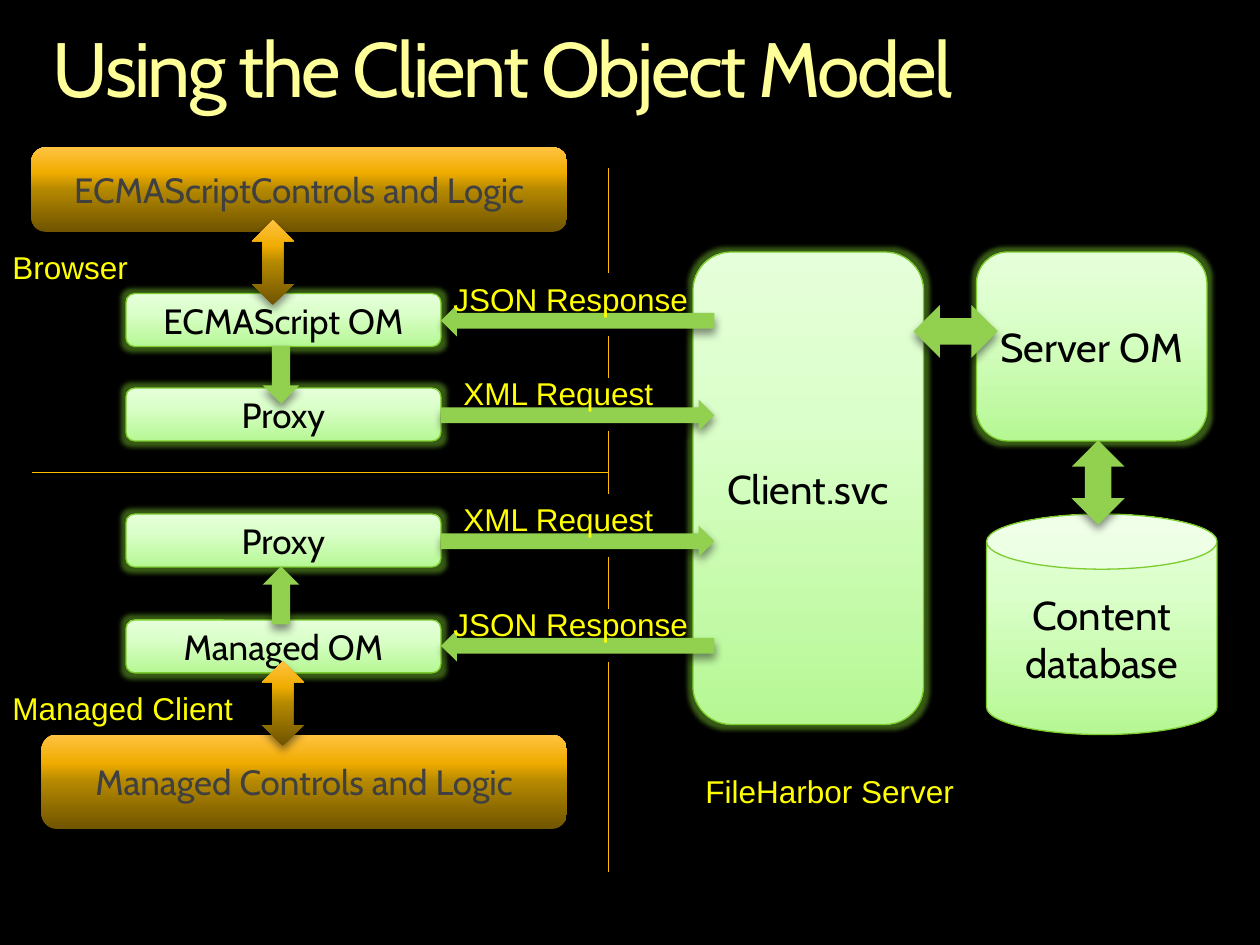
"""Build the slide on the client object model: client layers, service and server."""
from dataclasses import dataclass

from pptx import Presentation
from pptx.dml.color import RGBColor
from pptx.enum.shapes import MSO_CONNECTOR, MSO_SHAPE
from pptx.enum.text import MSO_ANCHOR, PP_ALIGN
from pptx.oxml import parse_xml
from pptx.oxml.ns import nsdecls
from pptx.util import Cm, Pt


@dataclass(frozen=True)
class Theme:
    background: str = "000000"
    arrow: str = "92D050"
    edge: str = "7DCC2E"
    divider: str = "FFC000"
    label: str = "FFFF00"
    ink: str = "000000"
    muted: str = "404040"
    mint: tuple = ((0, "B6F794"), (65, "DBFFCA"), (100, "E5FFDA"))
    amber: tuple = ((0, "705400"), (50, "B48800"), (70, "F0AC00"), (100, "FFC342"))
    heading: tuple = ((0, "FFFFB9"), (36, "FFFF99"), (86, "F6AE1E"))
    title_size: int = 44
    server_size: int = 23
    layer_size: int = 20
    label_size: int = 18
    hairline: float = 0.75


def gradient(stops, angle):
    """Return a linear gradient fill element."""
    marks = "".join(
        f'<a:gs pos="{place * 1000}"><a:srgbClr val="{color}"/></a:gs>' for place, color in stops
    )
    return parse_xml(
        f'<a:gradFill {nsdecls("a")} rotWithShape="1"><a:gsLst>{marks}</a:gsLst>'
        f'<a:lin ang="{angle * 60000}" scaled="0"/></a:gradFill>'
    )


def write(frame, words, font, color, size, align=PP_ALIGN.LEFT):
    """Put one formatted paragraph in a text frame."""
    paragraph = frame.paragraphs[0]
    paragraph.text = words
    paragraph.alignment = align
    for run in paragraph.runs:
        for name, value in {"name": font, "size": Pt(size)}.items():
            setattr(run.font, name, value)
        run.font.color.rgb = RGBColor.from_string(color)
    return paragraph


theme = Theme()
INCH = 2.54
deck = Presentation()
deck.slide_width, deck.slide_height = Cm(10 * INCH), Cm(7.5 * INCH)
slide = deck.slides.add_slide(deck.slide_layouts[6])
slide.background.fill.solid()
slide.background.fill.fore_color.rgb = RGBColor.from_string(theme.background)

heading = slide.shapes.add_textbox(*(Cm(v * INCH) for v in (0.42, 0.25, 9.17, 0.67)))
edges = ("margin_left", "margin_top", "margin_right", "margin_bottom")
for name, value in {"word_wrap": True, **dict.fromkeys(edges, 0)}.items():
    setattr(heading.text_frame, name, value)
title = write(heading.text_frame, "Using the Client Object Model", "Cabin",
              theme.heading[1][1], theme.title_size)
title.line_spacing = 0.9
title_format = title.runs[0].font._element
title_format.set("spc", "-150")
title_format.replace(title_format[0], gradient(theme.heading, 90))

BOX, CAN = MSO_SHAPE.ROUNDED_RECTANGLE, MSO_SHAPE.CAN
RIGHT, BOTH, UP_DOWN = MSO_SHAPE.RIGHT_ARROW, MSO_SHAPE.LEFT_RIGHT_ARROW, MSO_SHAPE.UP_DOWN_ARROW
servers = [
    (BOX, (5.5, 2, 1.83, 3.75), "Client.svc"),
    (BOX, (7.75, 2, 1.83, 1.5), "Server OM"),
    (CAN, (7.83, 4.08, 1.83, 1.75), "Content\ndatabase"),
]
layers = [
    (BOX, (1, top, 2.5, 0.42), words)
    for top, words in [(2.33, "ECMAScript OM"), (3.08, "Proxy"), (4.08, "Proxy"), (4.92, "Managed OM")]
]
controls = [
    (BOX, (0.33, 5.83, 4.17, 0.75), "Managed Controls and Logic"),
    (BOX, (0.25, 1.17, 4.25, 0.67), "ECMAScriptControls and Logic"),
]
control_links = [(UP_DOWN, (left, top, 0.33, 0.67), "") for left, top in [(2, 1.75), (2.08, 5.25)]]
arrows = [
    (BOTH, (7.25, 2.42, 0.67, 0.42), 0),
    (BOTH, (8.38, 3.62, 0.67, 0.42), 90),
    *((RIGHT, (3.5, top, 2.17, 0.25), turn)
      for top, turn in [(2.42, 180), (3.17, 0), (4.17, 0), (5, 180)]),
    (RIGHT, (2, 4.58, 0.46, 0.29), 270),
    (RIGHT, (2, 2.83, 0.46, 0.29), 90),
]
parts = [
    *((*server, 0, theme.mint, theme.ink, theme.server_size) for server in servers),
    *((*layer, 0, theme.mint, theme.ink, theme.layer_size) for layer in layers),
    *((*control, 0, theme.amber, theme.muted, theme.layer_size) for control in controls),
    *((kind, at, "", turn, theme.arrow, theme.ink, theme.layer_size) for kind, at, turn in arrows),
    *((*link, 0, theme.amber, theme.muted, theme.layer_size) for link in control_links),
]
for kind, at, words, turn, paint, ink, size in parts:
    part = slide.shapes.add_shape(kind, *(Cm(v * INCH) for v in at))
    part.rotation = turn
    properties = part._element.spPr
    if paint == theme.arrow:
        part.fill.solid()
        part.fill.fore_color.rgb = RGBColor.from_string(paint)
    else:
        properties.insert(2, gradient(paint, 270))
    if paint == theme.mint:
        part.line.color.rgb = RGBColor.from_string(theme.edge)
        part.line.width = Pt(theme.hairline)
        alpha, blur, drop = 35, 4, 3
    else:
        part.line.fill.background()
        alpha, blur, drop = 45, 5, 3
    glow = (
        f'<a:glow rad="{Pt(5)}"><a:srgbClr val="{theme.edge}"><a:alpha val="45000"/></a:srgbClr></a:glow>'
        if paint == theme.mint and kind == BOX else ""
    )
    properties.append(parse_xml(
        f'<a:effectLst {nsdecls("a")}>{glow}<a:outerShdw blurRad="{Pt(blur)}" dist="{Pt(drop)}" '
        f'dir="5400000" rotWithShape="0"><a:srgbClr val="{theme.background}">'
        f'<a:alpha val="{alpha * 1000}"/></a:srgbClr></a:outerShdw></a:effectLst>'
    ))
    if words:
        part.text_frame.vertical_anchor = MSO_ANCHOR.MIDDLE
        write(part.text_frame, words, "Cabin", ink, size, PP_ALIGN.CENTER)

axis = 4.83
gaps = [(1.33, 2.17), (2.67, 3), (3.42, 3.92), (4.42, 4.83), (5.25, 6.92)]
for ends in [(0.25, 3.75, axis, 3.75), *((axis, top, axis, bottom) for top, bottom in gaps)]:
    divider = slide.shapes.add_connector(MSO_CONNECTOR.STRAIGHT, *(Cm(v * INCH) for v in ends))
    divider.line.color.rgb = RGBColor.from_string(theme.divider)
    divider.line.width = Pt(theme.hairline)
    divider._element.spPr.append(parse_xml(f'<a:effectLst {nsdecls("a")}/>'))

labels = [
    *(("XML Request", (3.58, top, 1.72, 0.4), False) for top in (2.92, 3.92)),
    *(("JSON Response", (3.5, top, 2.08, 0.42), True) for top in (2.17, 4.75)),
    ("Browser", (0, 1.92, 1.17, 0.4), True),
    ("Managed Client", (0, 5.42, 2.08, 0.4), True),
    ("FileHarbor Server", (5.5, 6.08, 2.92, 0.42), True),
]
for words, at, wraps in labels:
    label = slide.shapes.add_textbox(*(Cm(v * INCH) for v in at))
    label.text_frame.word_wrap = wraps
    write(label.text_frame, words, "Arial", theme.label, theme.label_size)

deck.save("out.pptx")
